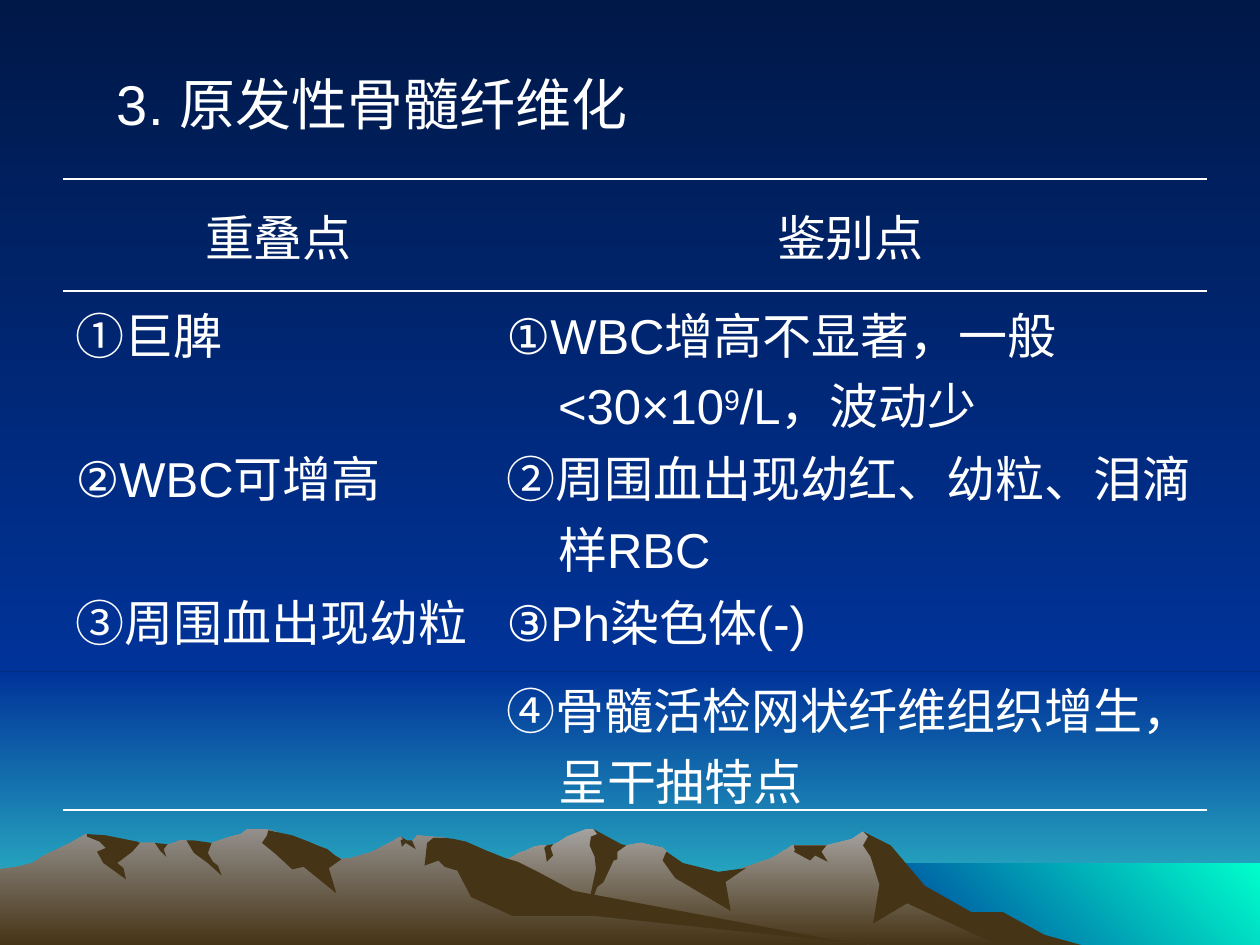
from lxml.etree import SubElement
from pptx import Presentation
from pptx.dml.color import RGBColor
from pptx.enum.shapes import MSO_SHAPE
from pptx.enum.text import MSO_ANCHOR, PP_ALIGN
from pptx.oxml import parse_xml
from pptx.oxml.ns import nsdecls, qn
from pptx.util import Pt

PX = 9144
FONT = "Arial"
WHITE = RGBColor(0xFF, 0xFF, 0xFF)
NIGHT = RGBColor(0x00, 0x18, 0x48)
BLUE = RGBColor(0x00, 0x33, 0x99)
TEAL = RGBColor(0x33, 0xCC, 0xCC)
AQUA = RGBColor(0x00, 0xFF, 0xCC)
BROWN = RGBColor(0x46, 0x34, 0x16)
STONE = RGBColor(0xA5, 0xA2, 0x9F)
GRAY = RGBColor(0x93, 0x8F, 0x8B)
DOWN, UP_RIGHT = 270, 45
NO_STYLE = "{2D5ABB26-0587-4C30-8999-92F81FD0307C}"

RIGHT_RANGE = [
    (802, 90), (778, 77), (764, 73), (723, 48), (702, 21), (685, 10), (676, 16),
    (656, 21), (629, 21), (613, 31), (566, 47), (536, 40), (529, 26), (526, 23),
    (509, 19), (497, 21), (486, 23), (474, 11), (471, 8), (465, 8), (450, 14),
    (444, 18), (438, 21), (430, 21), (424, 22), (418, 25), (412, 27), (405, 31),
    (399, 33), (394, 35), (355, 48), (327, 59), (277, 89), (258, 100), (821, 100)]
LEFT_RANGE = [
    (690, 100), (667, 98), (432, 62), (354, 15), (331, 13), (327, 18), (323, 18),
    (318, 14), (296, 26), (279, 31), (271, 32), (260, 26), (236, 31), (223, 13),
    (219, 10), (212, 8), (196, 8), (191, 12), (183, 14), (168, 19), (160, 21),
    (148, 17), (143, 17), (132, 21), (128, 21), (123, 19), (111, 19), (94, 21),
    (68, 12), (56, 19), (46, 24), (35, 29), (26, 35), (14, 38), (0, 40), (0, 100)]
RIGHT_SHADOWS = [
    [(796, 74), (771, 74), (734, 53), (707, 21), (685, 10), (689, 14), (685, 21),
     (691, 30), (698, 52), (693, 83), (720, 67), (792, 100), (858, 100), (829, 92)],
    [(471, 8), (474, 12), (469, 14), (468, 21), (472, 30), (473, 40), (465, 77),
     (474, 54), (479, 50), (487, 33), (490, 32), (490, 26), (497, 21), (493, 20)],
    [(529, 26), (528, 28), (526, 33), (536, 47), (580, 73), (576, 50), (592, 39),
     (570, 42), (542, 35)],
    [(650, 21), (630, 21), (631, 25), (630, 26), (643, 33), (647, 29), (657, 34),
     (652, 26), (656, 21)],
    [(433, 27), (432, 23), (434, 21), (439, 20), (437, 23), (439, 29), (434, 34)]]
LEFT_SHADOWS = [
    [(212, 13), (208, 19), (219, 28), (232, 40), (241, 38), (267, 59), (261, 39),
     (271, 32), (266, 29), (260, 24), (252, 21), (245, 18), (232, 13), (213, 9)],
    [(370, 18), (361, 16), (354, 15), (344, 15), (339, 19), (337, 37), (348, 33),
     (353, 38), (363, 41), (374, 62), (407, 77), (472, 77), (690, 100), (683, 100),
     (455, 57), (427, 42), (411, 34), (401, 31), (386, 25)],
    [(318, 17), (320, 16), (318, 14), (323, 17), (327, 17), (330, 24), (322, 19),
     (319, 22)],
    [(154, 17), (161, 18), (168, 19), (165, 27), (169, 34), (173, 37), (176, 45),
     (165, 35), (154, 27), (148, 17)],
    [(133, 20), (130, 24), (132, 30), (127, 25), (123, 19)],
    [(109, 18), (111, 19), (105, 26), (93, 35), (98, 39), (100, 48), (82, 35),
     (77, 26), (84, 23), (79, 18), (69, 14), (69, 12), (84, 13), (94, 15)]]

ROWS = [
    (89, ["重叠点"], ["鉴别点"]),
    (114, ["①巨脾"], ["①WBC增高不显著，一般 <30×10", "9", "/L，波动少"]),
    (114, ["②WBC可增高"], ["②周围血出现幼红、幼粒、泪滴样RBC"]),
    (70, ["③周围血出现幼粒"], ["③Ph染色体(-)"]),
    (114, [], ["④骨髓活检网状纤维组织增生，呈干抽特点"])]


def shade(fill, start, end, angle=DOWN):
    fill.gradient()
    fill.gradient_angle = angle
    for stop, color in zip(fill.gradient_stops, (start, end)):
        stop.color.rgb = color


def paint(sp, start, end=None, angle=DOWN):
    sp.shadow.inherit = False
    sp.line.fill.background()
    if end is None:
        sp.fill.solid()
        sp.fill.fore_color.rgb = start
    else:
        shade(sp.fill, start, end, angle)


def add_band(s, box, start, end, angle=DOWN):
    sp = s.shapes.add_shape(MSO_SHAPE.RECTANGLE, *(v * PX for v in box))
    paint(sp, start, end, angle)


def add_outline(s, x, y, points, start, end=None):
    builder = s.shapes.build_freeform(*points[0], scale=PX)
    builder.add_line_segments(points[1:], close=True)
    paint(builder.convert_to_shape(x * PX, y * PX), start, end)


def add_mountains(s, x, y):
    for ridge, top, shadows in ((RIGHT_RANGE, STONE, RIGHT_SHADOWS),
                                (LEFT_RANGE, GRAY, LEFT_SHADOWS)):
        add_outline(s, x, y, ridge, top, BROWN)
        for points in shadows:
            add_outline(s, x, y, points, BROWN)


def add_landscape(s, x, y, w, h):
    horizon = 533
    add_band(s, (x, y + horizon, w, h - horizon), BLUE, TEAL)
    add_band(s, (x, y, w, horizon), NIGHT, BLUE)
    add_band(s, (x + 683, y + 685, w - 683, h - 685), BLUE, AQUA, UP_RIGHT)
    add_mountains(s, x, y + 650)


def write(p, texts, size, hang=0):
    for text in texts:
        r = p.add_run()
        r.text = text
        r.font.name = FONT
        r.font.size = Pt(size)
        r.font.color.rgb = WHITE
    if hang:
        pPr = p._p.get_or_add_pPr()
        pPr.set("marL", str(hang * PX))
        pPr.set("indent", str(-hang * PX))


def add_title(s, x, y, w, h):
    tf = s.shapes.add_textbox(x * PX, y * PX, w * PX, h * PX).text_frame
    tf.word_wrap = True
    write(tf.paragraphs[0], ["3. 原发性骨髓纤维化"], 32, 38)


def set_borders(cell, ruled):
    tcPr = cell._tc.get_or_add_tcPr()
    for i, side in enumerate("LRTB"):
        ln = parse_xml(f'<a:ln{side} {nsdecls("a")} w="12700"/>')
        if side in ruled:
            fill = SubElement(ln, qn("a:solidFill"))
            SubElement(fill, qn("a:srgbClr")).set("val", str(WHITE))
        else:
            SubElement(ln, qn("a:noFill"))
        tcPr.insert(i, ln)


def add_comparison(s, x, y, w, h):
    frame = s.shapes.add_table(len(ROWS), 2, x * PX, y * PX, w * PX, h * PX)
    table = frame.table
    table.first_row = table.horz_banding = False
    table._tbl.tblPr.find(qn("a:tableStyleId")).text = NO_STYLE
    table.columns[0].width = 342 * PX
    table.columns[1].width = (w - 342) * PX
    rules = ["TB", "T", "", "", "B"]
    for i, (height, *texts) in enumerate(ROWS):
        table.rows[i].height = height * PX
        for j, parts in enumerate(texts):
            cell = table.cell(i, j)
            cell.fill.background()
            set_borders(cell, rules[i])
            p = cell.text_frame.paragraphs[0]
            write(p, parts, 28, 41 if i and j else 0)
            if i == 0:
                cell.vertical_anchor = MSO_ANCHOR.MIDDLE
                p.alignment = PP_ALIGN.CENTER
    exponent = table.cell(1, 1).text_frame.paragraphs[0].runs[1]
    exponent._r.get_or_add_rPr().set("baseline", "30000")


def main():
    prs = Presentation()
    prs.slide_width, prs.slide_height = 1000 * PX, 750 * PX
    s = prs.slides.add_slide(prs.slide_layouts[6])
    shade(s.background.fill, NIGHT, BLUE)
    add_landscape(s, 0, 0, 1000, 750)
    add_title(s, 83, 50, 733, 75)
    add_comparison(s, 50, 142, 908, 501)
    prs.save("out.pptx")


if __name__ == "__main__":
    main()
